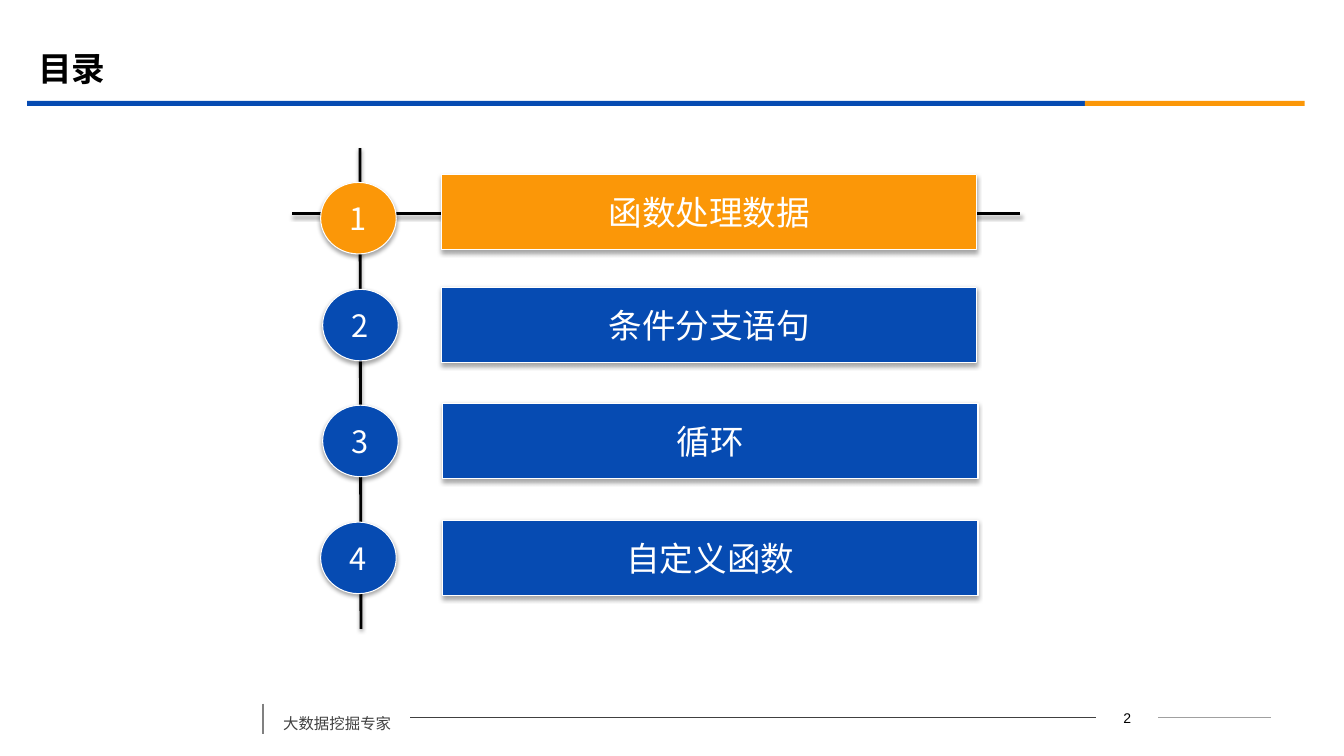
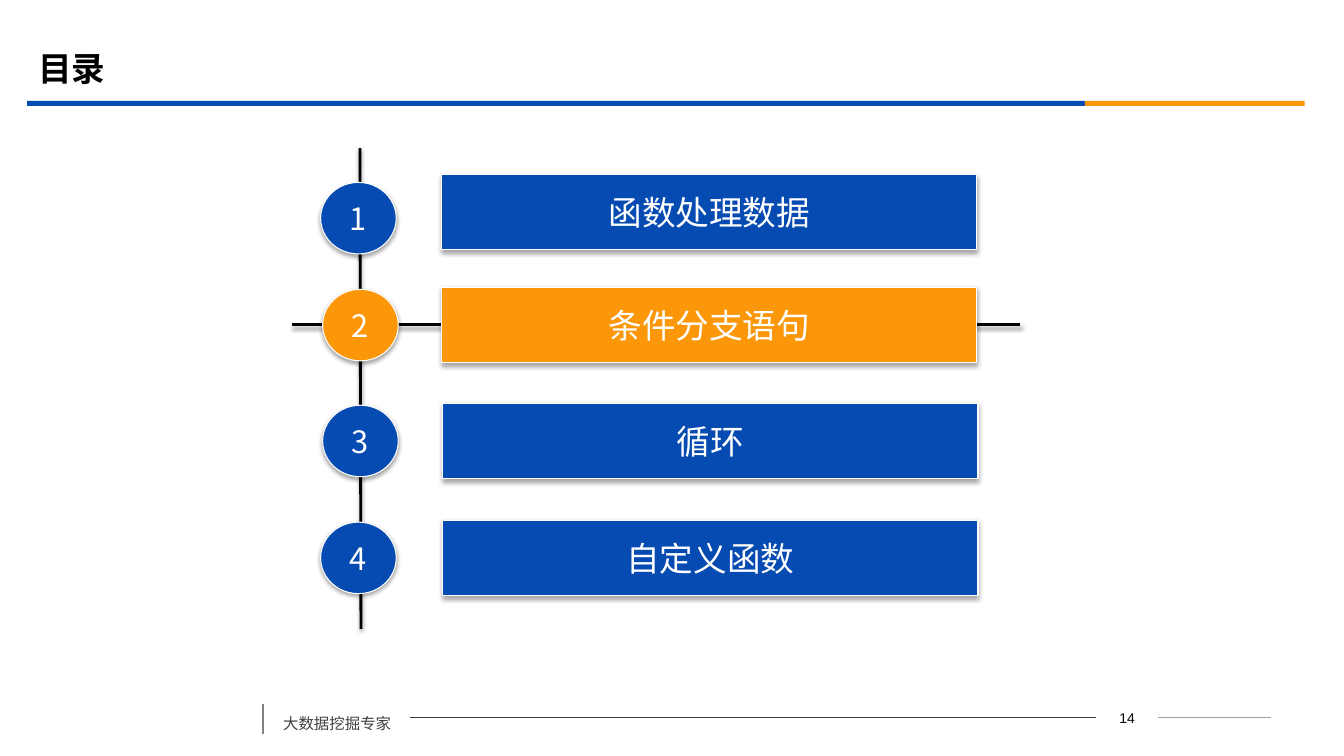
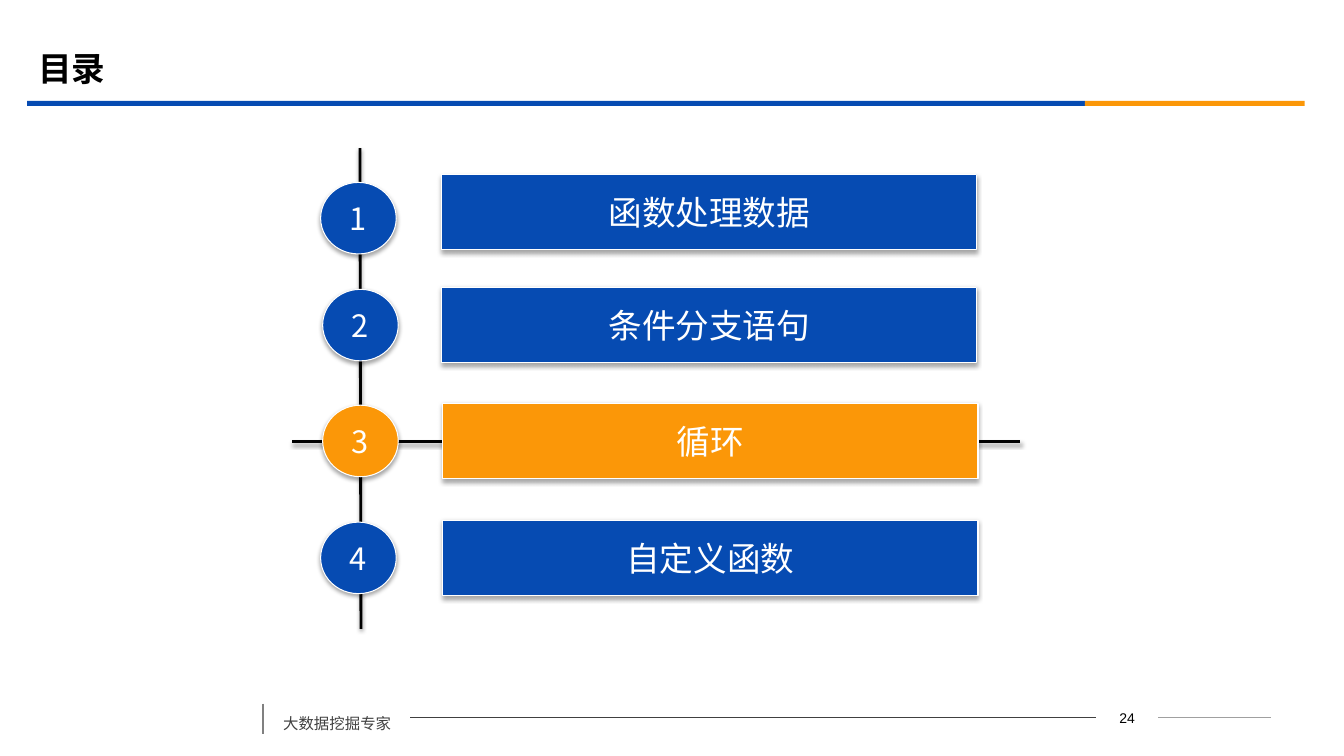
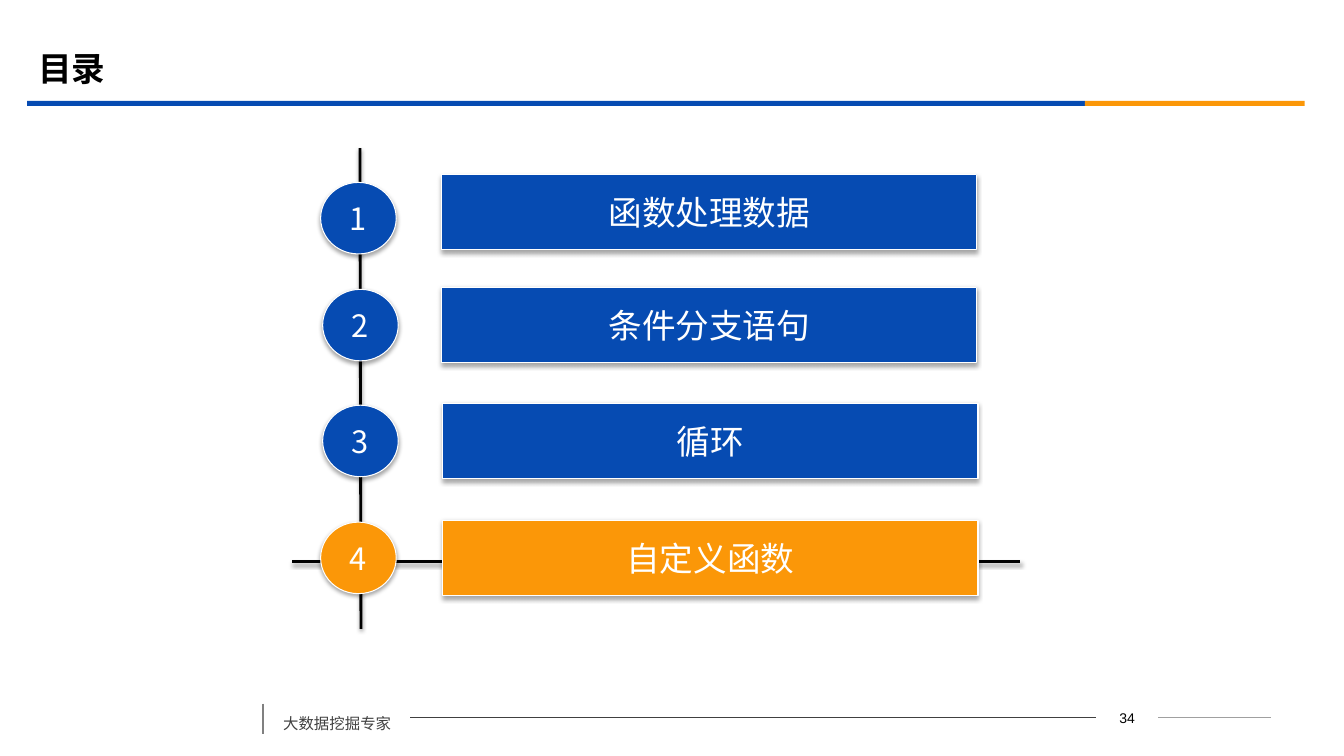
from dataclasses import dataclass

from lxml import etree
from pptx import Presentation
from pptx.dml.color import RGBColor
from pptx.enum import shapes, text
from pptx.oxml import ns
from pptx.util import Inches, Pt


@dataclass(frozen=True)
class Theme:
    blue: str = "064BB2"
    orange: str = "FB9708"
    white: str = "FFFFFF"
    black: str = "000000"
    dark: str = "404040"
    mid: str = "808080"
    pale: str = "A0A0A0"
    font: str = "Noto Sans CJK SC"
    number_font: str = "Arial"
    heading_size: float = 24
    badge_size: float = 22
    footer_size: float = 11
    page_size: float = 10


THEME = Theme()
HEADING = "目录"
FOOTER = "大数据挖掘专家"
CHAPTERS = [
    dict(label="函数处理数据", badge=(3.18, 1.81), bar=(4.38, 1.73), rail=2.12, page=2),
    dict(label="条件分支语句", badge=(3.20, 2.87), bar=(4.38, 2.85), rail=3.22, page=14),
    dict(label="循环", badge=(3.20, 4.02), bar=(4.39, 4.00), rail=4.38, page=24),
    dict(label="自定义函数", badge=(3.18, 5.18), bar=(4.39, 5.16), rail=5.57, page=34),
]
BADGE = (0.75, 0.71)
BAR = (5.31, 0.75)
BANDS = [((0.27, 1, 10.49, 0.05), THEME.blue), ((10.76, 1, 2.18, 0.05), THEME.orange)]
FOOTER_LINES = [
    ((11.49, 7.12, 12.61, 7.12), THEME.pale, 0.75),
    ((4.07, 7.12, 10.87, 7.12), THEME.dark, 0.75),
    ((2.61, 6.98, 2.61, 7.28), THEME.mid, 1.25),
]
SPINE = (3.57, 1.47, 3.58, 6.24)
RAIL_ENDS = (2.9, 10.12)


def inches(values):
    return [Inches(value) for value in values]


def write(holder, words, size, color, font=THEME.font, bold=False, wrap=True,
          align=text.PP_ALIGN.LEFT, anchor=text.MSO_ANCHOR.MIDDLE, spacing=None, before=None):
    frame = holder.text_frame
    frame.word_wrap = wrap
    frame.auto_size = text.MSO_AUTO_SIZE.NONE
    frame.vertical_anchor = anchor
    paragraph = frame.paragraphs[0]
    paragraph.alignment = align
    if spacing:
        paragraph.line_spacing = spacing
    if before:
        paragraph.space_before = Pt(before)
    run = paragraph.add_run()
    run.text = words
    run.font.size = Pt(size)
    run.font.bold = bold
    run.font.color.rgb = RGBColor.from_string(color)
    run.font.name = font
    latin = run._r.rPr.find(ns.qn("a:latin"))
    latin.addnext(latin.makeelement(ns.qn("a:ea"), {"typeface": font}))


def set_shadow(part, alpha=None, distance=0):
    properties = part.element.spPr
    effects = properties.find(ns.qn("a:effectLst"))
    if effects is None:
        effects = etree.SubElement(properties, ns.qn("a:effectLst"))
    if alpha:
        outer = etree.SubElement(effects, ns.qn("a:outerShdw"), blurRad=str(Pt(3.1)),
                                 dist=str(Pt(distance)), dir="5400000", rotWithShape="0")
        tint = etree.SubElement(outer, ns.qn("a:srgbClr"), val=THEME.black)
        etree.SubElement(tint, ns.qn("a:alpha"), val=str(alpha * 1000))


def add_line(slide, ends, color, width):
    line = slide.shapes.add_connector(shapes.MSO_CONNECTOR.STRAIGHT, *inches(ends))
    line.line.color.rgb = RGBColor.from_string(color)
    line.line.width = Pt(width)
    set_shadow(line)
    return line


def add_block(slide, kind, box, fill, outline=None):
    block = slide.shapes.add_shape(kind, *inches(box))
    block.fill.solid()
    block.fill.fore_color.rgb = RGBColor.from_string(fill)
    if outline:
        block.line.color.rgb = RGBColor.from_string(outline)
        block.line.width = Pt(0.75)
    else:
        block.line.fill.background()
    block.shadow.inherit = False
    return block


def furnish_layout(layout, slide):
    for placeholder in list(layout.placeholders):
        if placeholder.placeholder_format.type != shapes.PP_PLACEHOLDER.TITLE:
            layout.shapes.element.remove(placeholder.element)
    parts = [add_line(slide, *line) for line in FOOTER_LINES]
    parts += [add_block(slide, shapes.MSO_SHAPE.RECTANGLE, *band) for band in BANDS]
    footer = slide.shapes.add_textbox(*inches((2.71, 6.94, 1.36, 0.38)))
    write(footer, FOOTER, THEME.footer_size, THEME.dark, spacing=1.5, before=6,
          anchor=text.MSO_ANCHOR.TOP)
    for part in parts + [footer]:
        layout.shapes.element.append(part.element)


def add_label(slide, kind, box, fill, words, size):
    block = add_block(slide, kind, box, fill, THEME.white)
    set_shadow(block, 35, 1.8)
    write(block, words, size, THEME.white, wrap=False, align=text.PP_ALIGN.CENTER)


def fill_slide(slide, current):
    title = slide.shapes.title
    title.left, title.top, title.width, title.height = inches((0.28, 0.39, 12, 0.58))
    write(title, HEADING, THEME.heading_size, THEME.black, bold=True)
    page = slide.shapes.add_textbox(*inches((10.87, 6.99, 0.62, 0.25)))
    write(page, str(current["page"]), THEME.page_size, THEME.black, font=THEME.number_font,
          align=text.PP_ALIGN.CENTER, anchor=text.MSO_ANCHOR.TOP)

    rail = (RAIL_ENDS[0], current["rail"], RAIL_ENDS[1], current["rail"])
    for ends in (SPINE, rail):
        set_shadow(add_line(slide, ends, THEME.black, 2), 38, 1.6)
    for number, chapter in enumerate(CHAPTERS, 1):
        fill = THEME.orange if chapter is current else THEME.blue
        add_label(slide, shapes.MSO_SHAPE.ACTION_BUTTON_CUSTOM, chapter["bar"] + BAR,
                  fill, chapter["label"], THEME.heading_size)
        add_label(slide, shapes.MSO_SHAPE.OVAL, chapter["badge"] + BADGE,
                  fill, str(number), THEME.badge_size)


def main():
    deck = Presentation()
    deck.slide_width, deck.slide_height = inches((13.33, 7.5))
    layout = deck.slide_layouts[5]
    slides = [deck.slides.add_slide(layout) for _ in CHAPTERS]
    furnish_layout(layout, slides[0])
    for slide, chapter in zip(slides, CHAPTERS):
        fill_slide(slide, chapter)
    deck.save("out.pptx")


if __name__ == "__main__":
    main()
